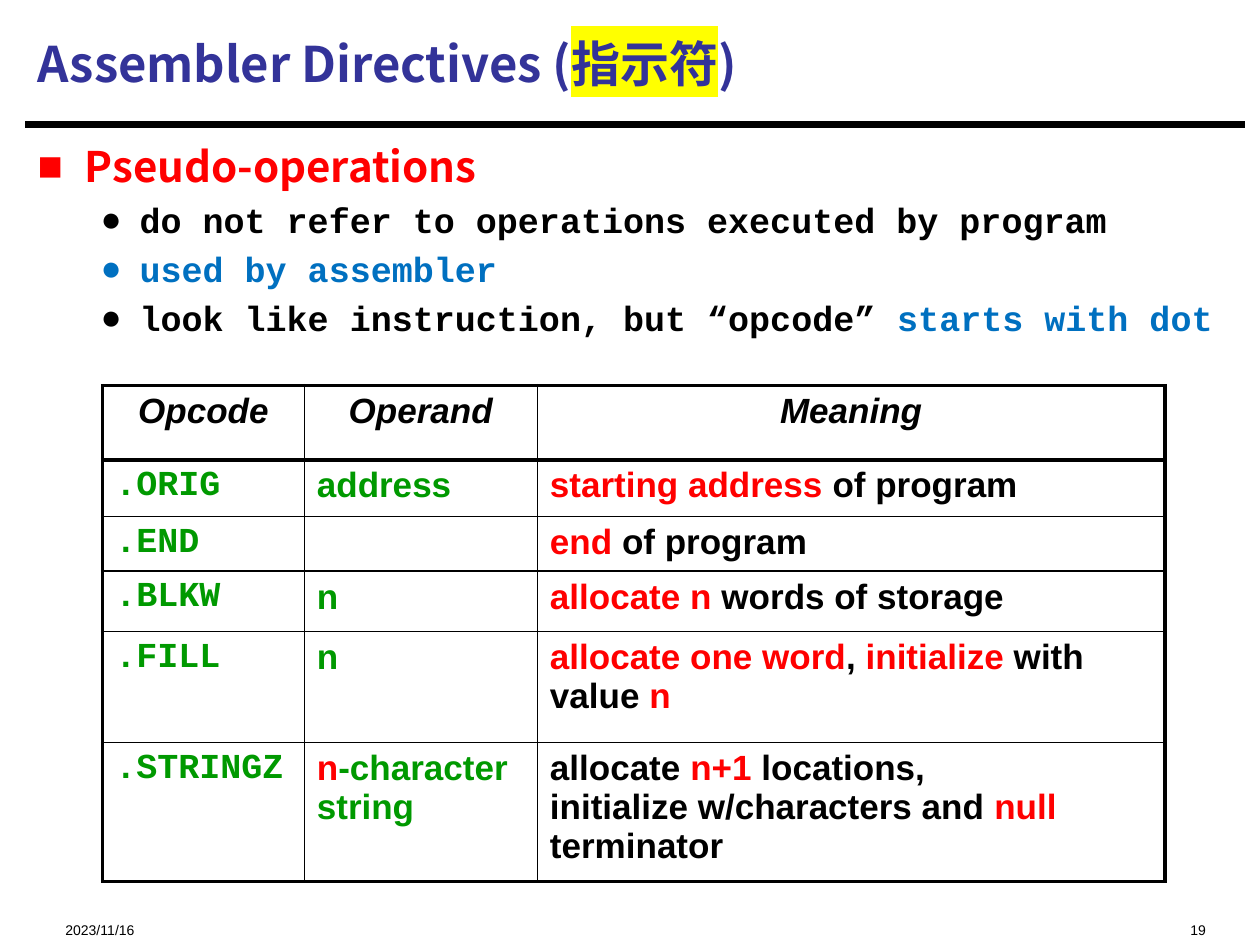
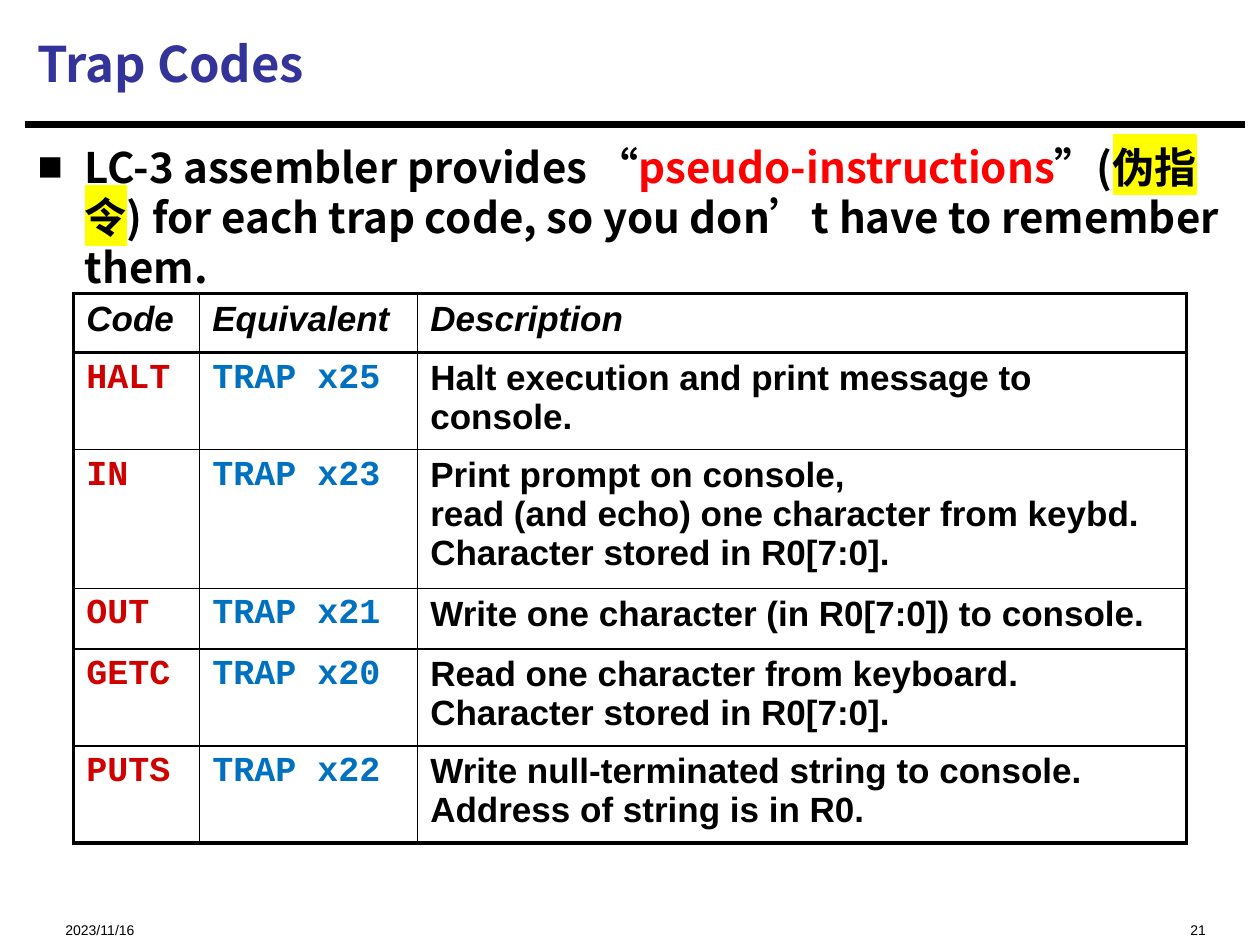
from dataclasses import dataclass
from itertools import product
from typing import Any, NamedTuple

from lxml.etree import SubElement as Sub, Element as Elem
from pptx import Presentation as Deck
from pptx.dml.color import RGBColor as Rgb
from pptx.enum.shapes import MSO_CONNECTOR as Link
from pptx.enum.text import MSO_ANCHOR as Anchor, PP_ALIGN as Align
from pptx.oxml.ns import qn
from pptx.util import Emu, Inches, Pt


@dataclass(frozen=True)
class Theme:
    sans: str = "Arial"
    mono: str = "Courier New"
    head: str = "Noto Sans CJK SC"
    black: str = "000000"
    navy: str = "333399"
    red: str = "FF0000"
    blue: str = "0070C0"
    green: str = "009900"
    brick: str = "CE0000"
    mark: str = "FFFF00"
    title: float = 28
    lead: float = 24
    text: float = 20
    foot: float = 8
    gap: float = 4
    thick: float = 2.25
    thin: float = 1
    rule: float = 3.75


T = Theme()
WIDE, HIGH = Inches(10), Inches(7.5)
COLS, ROWS = 100, 75


class Box(NamedTuple):
    x: float
    y: float
    w: float
    h: float


class Run(NamedTuple):
    text: str
    color: str = T.black
    mark: str | None = None


class Look(NamedTuple):
    font: str
    size: float
    bold: bool = True
    slant: bool = False


class Point(NamedTuple):
    runs: list[Run]
    look: Look
    sign: str
    left: float
    hang: float


class Grid(NamedTuple):
    x: float
    y: float
    cols: list[float]
    rows: list[float]
    heads: list[str]
    cells: list[list[list[Run]]]
    looks: list[Look]
    align: Align


class Page(NamedTuple):
    title: list[Run]
    points: list[Point]
    depth: float
    grid: Grid
    number: str


TITLE = Look(T.head, T.title)
LEAD = Look(T.head, T.lead)
CODE = Look(T.mono, T.text)
WORD = Look(T.sans, T.text)
HEAD = Look(T.sans, T.text, slant=True)
FOOT = Look(T.sans, T.foot, bold=False)


def across(n: float) -> Emu:
    return Emu(round(WIDE * n / COLS))


def down(n: float) -> Emu:
    return Emu(round(HIGH * n / ROWS))


def place(box: Box) -> tuple[Emu, Emu, Emu, Emu]:
    return across(box.x), down(box.y), across(box.w), down(box.h)


def style(item: Any, form: dict[str, Any]) -> None:
    for name, value in form.items():
        setattr(item, name, value)


def write(para: Any, runs: list[Run], look: Look) -> None:
    form = {"name": look.font, "size": Pt(look.size),
            "bold": look.bold, "italic": look.slant}
    for part in runs:
        for i, line in enumerate(part.text.split("\n")):
            if i:
                para.add_line_break()
            run = para.add_run()
            run.text = line
            style(run.font, form)
            run.font.color.rgb = Rgb.from_string(part.color)
            latin = run.font._element.find(qn("a:latin"))
            east = Elem(qn("a:ea"), typeface=look.font)
            latin.addnext(east)
            if part.mark:
                light = Elem(qn("a:highlight"))
                Sub(light, qn("a:srgbClr"), val=part.mark)
                latin.addprevious(light)


def frame(slide: Any, box: Box, form: dict[str, Any]) -> Any:
    body = slide.shapes.add_textbox(*place(box)).text_frame
    style(body, {"word_wrap": True} | form)
    return body


def label(slide: Any, box: Box, runs: list[Run], look: Look,
          align: Align = Align.LEFT, **form: Any) -> None:
    para = frame(slide, box, form).paragraphs[0]
    para.alignment = align
    write(para, runs, look)


def bullet(para: Any, point: Point) -> None:
    para.space_before = Pt(T.gap)
    props = para._p.get_or_add_pPr()
    props.set("marL", str(across(point.left)))
    props.set("indent", str(-across(point.hang)))
    tint = Sub(props, qn("a:buClr"))
    Sub(tint, qn("a:srgbClr"), val=point.runs[0].color)
    Sub(props, qn("a:buFont"), typeface=T.sans)
    Sub(props, qn("a:buChar"), char=point.sign)
    write(para, point.runs, point.look)


def outline(slide: Any, box: Box, points: list[Point]) -> None:
    body = frame(slide, box, {"margin_top": down(0.5)})
    for i, point in enumerate(points):
        bullet(body.add_paragraph() if i else body.paragraphs[0], point)


def edge(cell: Any, sides: dict[str, float]) -> None:
    props = cell._tc.get_or_add_tcPr()
    for i, (side, width) in enumerate(sides.items()):
        line = Elem(qn(f"a:ln{side}"), w=str(Pt(width)))
        fill = Sub(line, qn("a:solidFill"))
        Sub(fill, qn("a:srgbClr"), val=T.black)
        props.insert(i, line)


def table(slide: Any, grid: Grid) -> None:
    high, wide = len(grid.rows), len(grid.cols)
    box = Box(grid.x, grid.y, sum(grid.cols), sum(grid.rows))
    tab = slide.shapes.add_table(high, wide, *place(box)).table
    style(tab, {"first_row": False, "horz_banding": False})
    for col, size in zip(tab.columns, grid.cols):
        col.width = across(size)
    for row, size in zip(tab.rows, grid.rows):
        row.height = down(size)
    heads = [[Run(name)] for name in grid.heads]
    cells = [heads, *grid.cells]

    def weight(bold: bool) -> float:
        return T.thick if bold else T.thin

    for r, c in product(range(high), range(wide)):
        cell = tab.cell(r, c)
        cell.fill.background()
        edge(cell, {"L": weight(c == 0), "R": weight(c == wide - 1),
                    "T": weight(r < 2), "B": weight(r in (0, high - 1))})
        para = cell.text_frame.paragraphs[0]
        para.alignment = Align.LEFT if r else grid.align
        write(para, cells[r][c], grid.looks[c] if r else HEAD)


def rule(slide: Any) -> None:
    line = slide.shapes.add_connector(
        Link.STRAIGHT, across(2), down(9.9), across(98.8), down(9.9))
    line.line.width = Pt(T.rule)
    line.line.color.rgb = Rgb.from_string(T.black)
    Sub(line._element.spPr, qn("a:effectLst"))


def build(deck: Any, page: Page) -> None:
    slide = deck.slides.add_slide(deck.slide_layouts[6])
    rule(slide)
    low = {"margin_top": down(2), "margin_bottom": 0}
    label(slide, Box(4.2, 71.5, 25, 2.7), [Run("2023/11/16")], FOOT, **low)
    label(slide, Box(66.7, 71.5, 30, 2.7), [Run(page.number)], FOOT,
          Align.RIGHT, **low)
    label(slide, Box(2, 0.8, 96.7, 8.4), page.title, TITLE,
          vertical_anchor=Anchor.MIDDLE)
    outline(slide, Box(2, 10.7, 96.7, page.depth), page.points)
    table(slide, page.grid)


def lead(*runs: Run) -> Point:
    return Point(list(runs), LEAD, "■", 3.75, 3.75)


def note(*runs: Run) -> Point:
    return Point(list(runs), CODE, "●", 8.1, 3.1)


def red(text: str) -> Run:
    return Run(text, T.red)


def green(text: str) -> Run:
    return Run(text, T.green)


def trap(code: str, vector: str, text: str) -> list[list[Run]]:
    return [[Run(code, T.brick)], [Run(f"TRAP {vector}", T.blue)], [Run(text)]]


ORDERS = Grid(
    8.15, 30.6, [16, 18.5, 49.8], [5.9, 4.5, 4.3, 4.8, 8.8, 11],
    ["Opcode", "Operand", "Meaning"],
    [
        [[green(".ORIG")], [green("address")],
         [red("starting address "), Run("of program")]],
        [[green(".END")], [], [red("end"), Run(" of program")]],
        [[green(".BLKW")], [green("n")],
         [red("allocate n"), Run(" words of storage")]],
        [[green(".FILL")], [green("n")],
         [red("allocate one word"), Run(", "), red("initialize"),
          Run(" with value "), red("n")]],
        [[green(".STRINGZ")], [red("n"), green("-character \nstring")],
         [Run("allocate "), red("n+1 "),
          Run("locations, \ninitialize w/characters and "),
          red("null"), Run(" terminator")]],
    ],
    [CODE, WORD, WORD], Align.CENTER)

TRAPS = Grid(
    5.85, 23.3, [10, 17.3, 61], [4.7, 7.7, 11, 4.8, 7.7, 7.7],
    ["Code", "Equivalent", "Description"],
    [
        trap("HALT", "x25", "Halt execution and print message to console."),
        trap("IN", "x23", "Print prompt on console,\n"
             "read (and echo) one character from keybd.\n"
             "Character stored in R0[7:0]."),
        trap("OUT", "x21", "Write one character (in R0[7:0]) to console."),
        trap("GETC", "x20", "Read one character from keyboard.\n"
             "Character stored in R0[7:0]."),
        trap("PUTS", "x22", "Write null-terminated string to console.\n"
             "Address of string is in R0."),
    ],
    [CODE, CODE, WORD], Align.LEFT)

PAGES = [
    Page(
        [Run("Assembler Directives (", T.navy),
         Run("指示符", T.navy, T.mark), Run(")", T.navy)],
        [lead(red("Pseudo-operations")),
         note(Run("do not refer to operations executed by program")),
         note(Run("used by assembler", T.blue)),
         note(Run("look like instruction, but “opcode” "),
              Run("starts with dot", T.blue))],
        19.7, ORDERS, "19"),
    Page(
        [Run("Trap Codes", T.navy)],
        [lead(Run("LC-3 assembler provides “"), red("pseudo-instructions"),
              Run("”("), Run("伪指令", mark=T.mark),
              Run(") for each trap code, so you don’t have to "
                  "remember them."))],
        59.9, TRAPS, "21"),
]


def main() -> None:
    deck = Deck()
    style(deck, {"slide_width": WIDE, "slide_height": HIGH})
    for page in PAGES:
        build(deck, page)
    deck.save("out.pptx")


if __name__ == "__main__":
    main()
